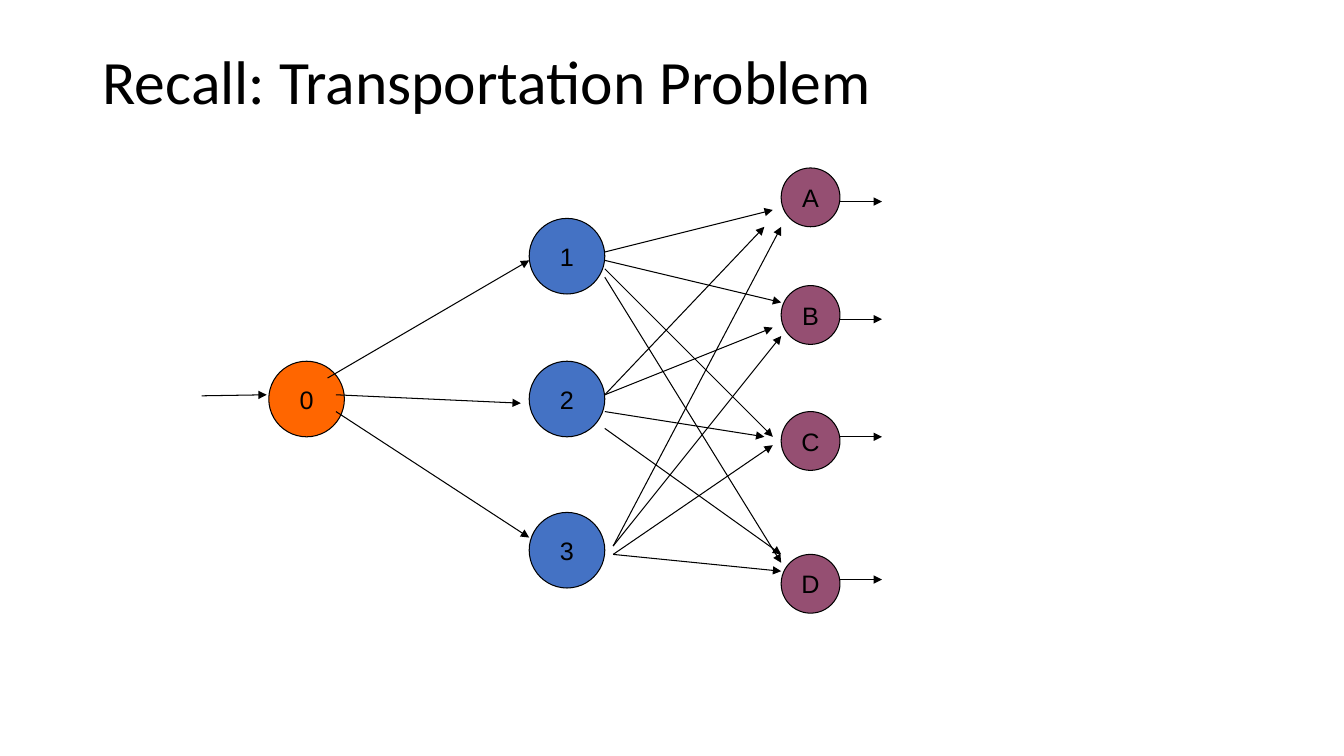
from typing import NamedTuple

from lxml import etree
from pptx import Presentation
from pptx.dml.color import RGBColor
from pptx.enum.shapes import MSO_CONNECTOR, MSO_SHAPE
from pptx.enum.text import MSO_ANCHOR, PP_ALIGN
from pptx.oxml.ns import qn
from pptx.util import Emu, Pt

EMU_PER_PX = 9525
OVAL = MSO_SHAPE.OVAL
STRAIGHT = MSO_CONNECTOR.STRAIGHT
MIDDLE = MSO_ANCHOR.MIDDLE
CENTER, LEFT = PP_ALIGN.CENTER, PP_ALIGN.LEFT

COLORS = {
    "ink": "000000",
    "source": "FF6600",
    "supply": "4472C4",
    "demand": "954F72",
}
DIAMETERS = {"source": 72, "supply": 72, "demand": 56}


class Node(NamedTuple):
    label: str
    role: str
    left: int
    top: int


class Arrow(NamedTuple):
    x1: int
    y1: int
    x2: int
    y2: int


NODES = [
    Node("0", "source", 256, 344),
    *(Node(label, "supply", 504, top)
      for label, top in zip("123", (208, 344, 488))),
    *(Node(label, "demand", 744, top)
      for label, top in zip("ABCD", (160, 272, 392, 528))),
]

INFLOW = [Arrow(192, 377, 254, 376)]
SOURCE_TO_SUPPLY = [
    Arrow(312, 360, 504, 248),
    Arrow(320, 376, 496, 384),
    Arrow(320, 392, 504, 512),
]
SUPPLY_TO_DEMAND = [
    Arrow(576, 240, 736, 200),
    Arrow(576, 248, 744, 288),
    Arrow(576, 256, 736, 416),
    Arrow(576, 264, 744, 536),
    Arrow(576, 376, 728, 216),
    Arrow(576, 376, 736, 312),
    Arrow(576, 392, 728, 416),
    Arrow(576, 408, 744, 528),
    Arrow(584, 520, 744, 216),
    Arrow(584, 520, 744, 320),
    Arrow(584, 528, 736, 424),
    Arrow(584, 528, 744, 544),
]
OUTFLOW = [Arrow(800, y, 840, y) for y in (192, 304, 416, 552)]


def px(length: int) -> Emu:
    return Emu(length * EMU_PER_PX)


def color(name: str) -> RGBColor:
    return RGBColor.from_string(COLORS[name])


def style_line(line) -> None:
    line.color.rgb = color("ink")
    line.width = Pt(0.75)


def style_font(font, name: str, size: int) -> None:
    for attribute, value in {"name": name, "size": Pt(size)}.items():
        setattr(font, attribute, value)
    font.color.rgb = color("ink")


def draw_node(slide, node: Node) -> None:
    diameter = px(DIAMETERS[node.role])
    circle = slide.shapes.add_shape(
        OVAL, px(node.left), px(node.top), diameter, diameter)
    circle.shadow.inherit = False
    circle.fill.solid()
    circle.fill.fore_color.rgb = color(node.role)
    style_line(circle.line)
    frame = circle.text_frame
    frame.word_wrap = False
    frame.vertical_anchor = MIDDLE
    label = frame.paragraphs[0]
    label.alignment = CENTER
    run = label.add_run()
    run.text = node.label
    style_font(run.font, "Arial", 18)


def draw_arrow(slide, arrow: Arrow) -> None:
    connector = slide.shapes.add_connector(STRAIGHT, *map(px, arrow))
    style_line(connector.line)
    properties = connector.element.spPr
    line = properties.find(qn("a:ln"))
    etree.SubElement(line, qn("a:tailEnd"), type="triangle")
    etree.SubElement(properties, qn("a:effectLst"))


def fill_title(slide, text: str) -> None:
    title = slide.shapes.title
    bounds = {"left": 88, "top": 38, "width": 1104, "height": 86}
    for attribute, length in bounds.items():
        setattr(title, attribute, px(length))
    title.text_frame.vertical_anchor = MIDDLE
    heading = title.text_frame.paragraphs[0]
    heading.alignment = LEFT
    heading.line_spacing = 0.9
    run = heading.add_run()
    run.text = text
    style_font(run.font, "Calibri", 44)


def main() -> None:
    presentation = Presentation()
    presentation.slide_width = px(1280)
    presentation.slide_height = px(720)
    title_only = presentation.slide_layouts[5]
    slide = presentation.slides.add_slide(title_only)
    fill_title(slide, "Recall: Transportation Problem")
    for node in NODES:
        draw_node(slide, node)
    for arrow in INFLOW + SOURCE_TO_SUPPLY + SUPPLY_TO_DEMAND + OUTFLOW:
        draw_arrow(slide, arrow)
    presentation.save("out.pptx")


if __name__ == "__main__":
    main()
